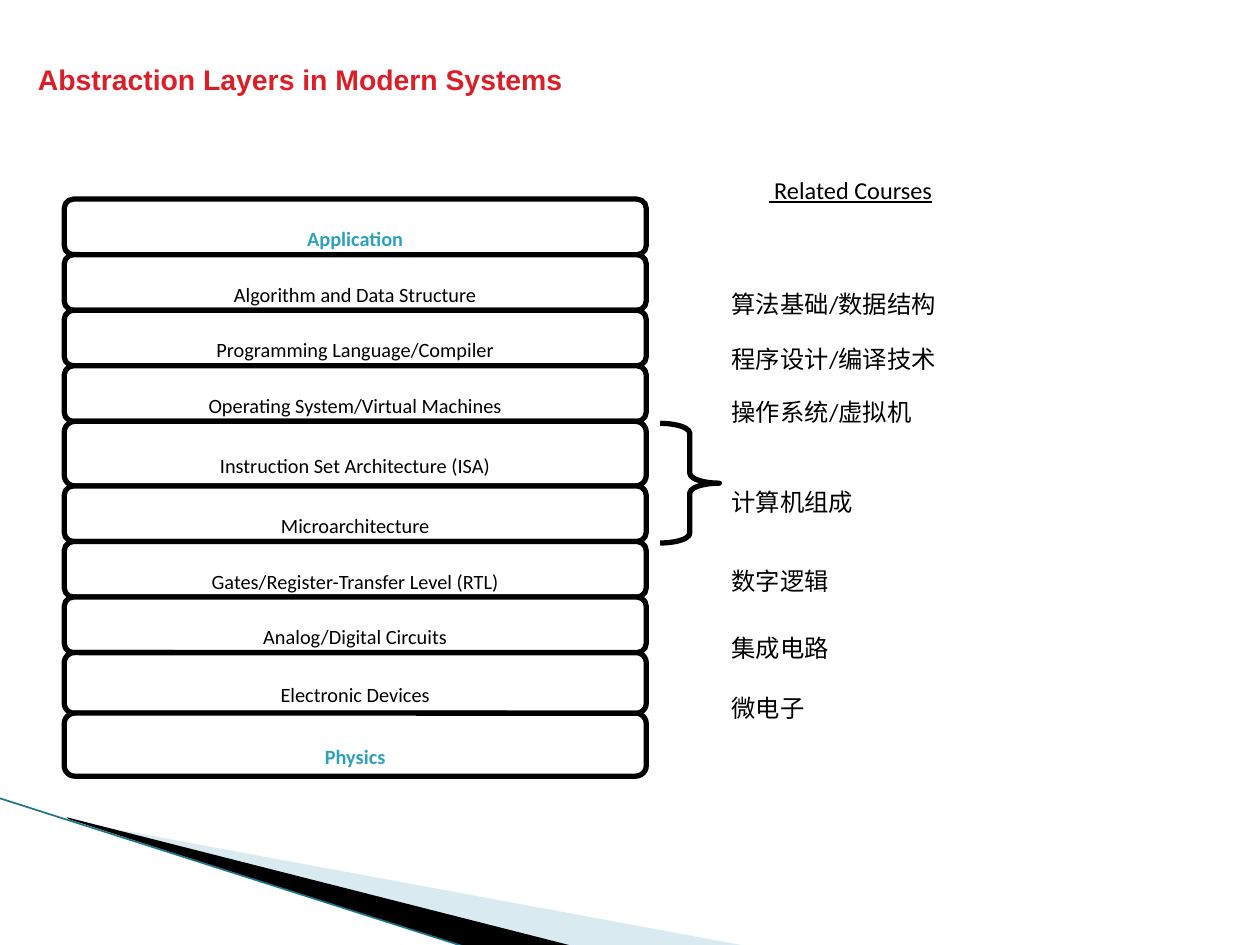
from lxml import etree
from pptx import Presentation
from pptx.dml.color import RGBColor
from pptx.enum.shapes import MSO_CONNECTOR as Link, MSO_SHAPE as Shape
from pptx.enum.text import MSO_ANCHOR as Anchor, MSO_AUTO_SIZE as Fit, PP_ALIGN as Align
from pptx.oxml.ns import qn
from pptx.util import Pt

BLACK, WHITE, TEAL, RED = "000000", "FFFFFF", "2DA2BF", "DA1F28"
STEP = 31.75
LAYERS = [
    ("Application", STEP),
    ("Algorithm and Data Structure", STEP),
    ("Programming Language/Compiler", STEP),
    ("Operating System/Virtual Machines", STEP),
    ("Instruction Set Architecture (ISA)", 36.9),
    ("Microarchitecture", STEP),
    ("Gates/Register-Transfer Level (RTL)", STEP),
    ("Analog/Digital Circuits", STEP),
    ("Electronic Devices", 34.6),
    ("Physics", 36),
]
COURSES = [
    ("算法基础/数据结构", 145.4),
    ("程序设计/编译技术", 177.1),
    ("操作系统/虚拟机", 207.4),
    ("计算机组成", 258.5),
    ("数字逻辑", 303.8),
    ("集成电路", 342),
    ("微电子", 376.6),
]


def tint(code):
    return RGBColor.from_string(code)


def paint(item, fill=None, line=None, width=3):
    item.shadow.inherit = False
    if fill:
        item.fill.solid()
        item.fill.fore_color.rgb = tint(fill)
    else:
        item.fill.background()
    if line:
        item.line.color.rgb = tint(line)
        item.line.width = Pt(width)
    else:
        item.line.fill.background()


def write(item, text, size=24, font="Calibri", color=BLACK, bold=False,
          under=False, align=Align.LEFT, anchor=Anchor.TOP, wrap=False,
          fit=Fit.SHAPE_TO_FIT_TEXT):
    frame = item.text_frame
    frame.word_wrap = wrap
    frame.auto_size = fit
    frame.vertical_anchor = anchor
    para = frame.paragraphs[0]
    para.alignment = align
    run = para.add_run()
    run.text = text
    face = run.font
    face.name, face.size, face.bold, face.underline = font, Pt(size), bold, under
    face.color.rgb = tint(color)
    run._r.get_or_add_rPr().set("baseline", "-25000")


def wedge(slide, points, color):
    start, *rest = points
    form = slide.shapes.build_freeform(*start, scale=Pt(1))
    form.add_line_segments(rest, close=True)
    item = form.convert_to_shape()
    paint(item, color)
    return item


def corner(slide, left, top):
    def shift(*points):
        return [(left + x, top + y) for x, y in points]

    pale = wedge(slide, shift((40, 13), (429, 85), (329, 85), (40, 12)), "A0CBDC")
    shade = pale.fill._xPr.find(qn("a:solidFill"))[0]
    etree.SubElement(shade, qn("a:alpha")).set("val", "40000")
    wedge(slide, shift((38, 11), (329, 85), (268, 85.5), (39, 12)), BLACK)
    edge = slide.shapes.add_connector(
        Link.STRAIGHT, Pt(left - 0.7), Pt(top), Pt(left + 267), Pt(top + 85.5))
    edge.line.color.rgb = tint("1F7489")
    edge.line.width = Pt(0.95)
    etree.SubElement(edge._element.spPr, qn("a:effectLst"))


def header(slide, left, top, width, height):
    title = slide.shapes.title
    title.left, title.top = Pt(left), Pt(top)
    title.width, title.height = Pt(width), Pt(height)
    write(title, "Abstraction Layers in Modern Systems", size=28, font="Arial",
          color=RED, bold=True, anchor=Anchor.MIDDLE, wrap=True)


def stack(slide, left, top, width):
    for name, height in LAYERS:
        box = slide.shapes.add_shape(
            Shape.ROUNDED_RECTANGLE, Pt(left), Pt(top), Pt(width), Pt(height))
        paint(box, WHITE, BLACK)
        ends = name in (LAYERS[0][0], LAYERS[-1][0])
        write(box, name, size=20, color=TEAL if ends else BLACK, bold=ends,
              align=Align.CENTER, anchor=Anchor.MIDDLE, fit=Fit.NONE)
        top += height


def brace(slide, left, top, width, height):
    item = slide.shapes.add_shape(
        Shape.RIGHT_BRACE, Pt(left), Pt(top), Pt(width), Pt(height))
    item.adjustments[0] = 0.167
    paint(item, line=BLACK)


def courses(slide, left, height):
    head = slide.shapes.add_textbox(Pt(left - 20), Pt(80.6), Pt(190), Pt(height))
    write(head, " Related Courses", under=True, align=Align.CENTER, wrap=True)
    for name, top in COURSES:
        slash = name.count("/")
        width = 24 * (len(name) - slash) + 9.4 * slash + 14.4
        item = slide.shapes.add_textbox(Pt(left), Pt(top), Pt(width), Pt(height))
        write(item, name)


def main():
    deck = Presentation()
    deck.slide_width, deck.slide_height = Pt(720), Pt(540)
    slide = deck.slides.add_slide(deck.slide_layouts[5])
    corner(slide, 0, 456)
    header(slide, 14.4, 6, 696, 60)
    stack(slide, 36.7, 113.8, 332.6)
    courses(slide, 411, 36)
    brace(slide, 377.3, 241.9, 33.8, 68.4)
    deck.save("out.pptx")


if __name__ == "__main__":
    main()
